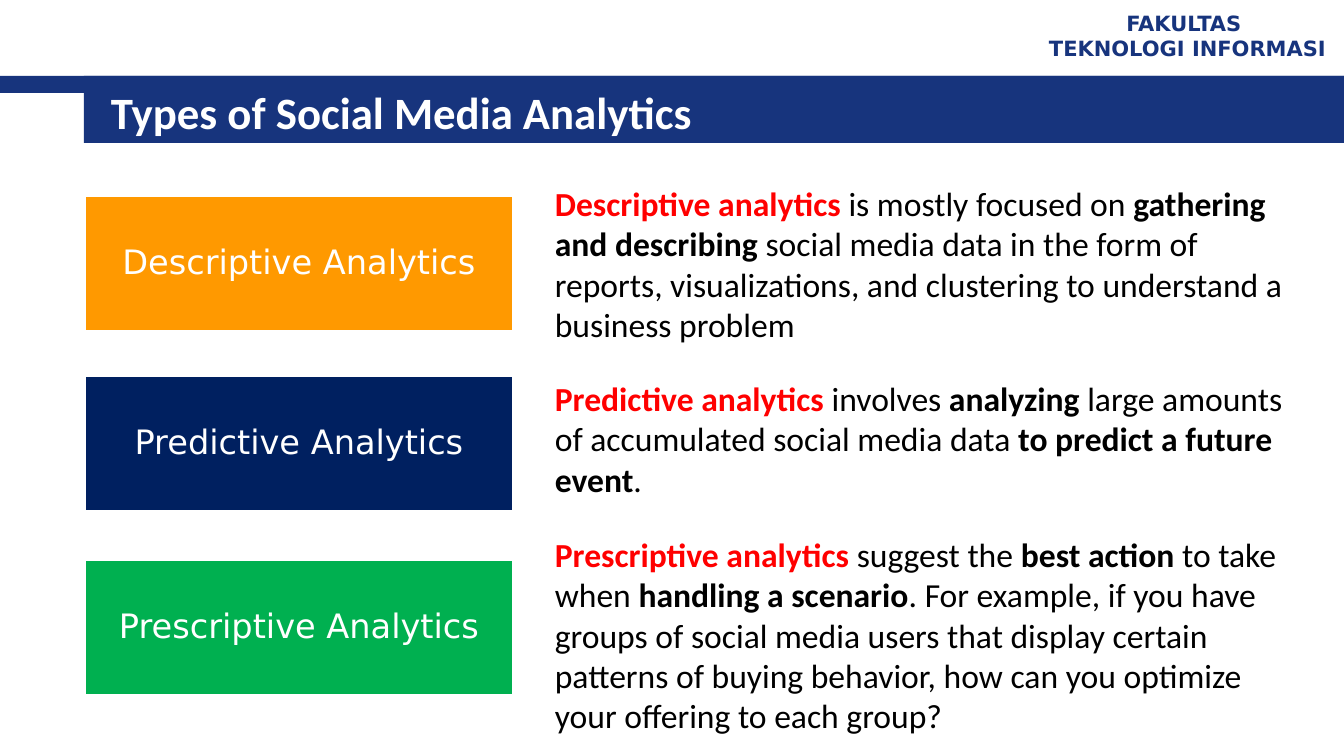
import pptx
import pptx.dml.color
import pptx.enum.shapes
import pptx.enum.text
import pptx.util

EMU_PER_PX = 914400 / 100.8
NAVY = "17347D"
WHITE = "FFFFFF"
BLACK = "000000"
RED = "FF0000"
HEADING_FONT = "DejaVu Sans"
BODY_FONT = "Calibri"
MIDDLE = pptx.enum.text.MSO_ANCHOR.MIDDLE
TOP = pptx.enum.text.MSO_ANCHOR.TOP
CENTER = pptx.enum.text.PP_ALIGN.CENTER

ANALYTICS = [
    ("Descriptive Analytics", "FF9900", 196, (545, 178, 754, 173), [
        "Descriptive analytics ", "is mostly focused on ", "gathering and describing ",
        "social media data in the form of reports, visualizations, "
        "and clustering to understand a business problem"]),
    ("Predictive Analytics", "002060", 376, (545, 373, 754, 132), [
        "Predictive analytics ", "involves ", "analyzing",
        " large amounts of accumulated social media data ",
        "to predict a future event", "."]),
    ("Prescriptive Analytics", "00B050", 560, (545, 529, 754, 214), [
        "Prescriptive analytics ", "suggest the ", "best action ", "to take when ",
        "handling a scenario",
        ". For example, if you have groups of social media users that display certain "
        "patterns of buying behavior, how can you optimize your offering to each group?"]),
]


def px(length):
    """Turn a length in px into EMU."""
    return pptx.util.Emu(round(length * EMU_PER_PX))


def color(value):
    """Turn a hex string into a colour."""
    return pptx.dml.color.RGBColor.from_string(value)


def style(run, font, size, fill, bold=False):
    """Give a run its font, size, colour and weight."""
    run.font.name = font
    run.font.size = pptx.util.Pt(size)
    run.font.color.rgb = color(fill)
    run.font.bold = bold


def add_rectangle(slide, area, fill):
    """Add a filled rectangle without outline or shadow."""
    rectangle = slide.shapes.add_shape(
        pptx.enum.shapes.MSO_SHAPE.RECTANGLE, *map(px, area))
    rectangle.shadow.inherit = False
    rectangle.fill.solid()
    rectangle.fill.fore_color.rgb = color(fill)
    rectangle.line.fill.background()
    return rectangle


def add_frame(slide, area, anchor):
    """Add a wrapping text box and return its text frame."""
    frame = slide.shapes.add_textbox(*map(px, area)).text_frame
    frame.word_wrap = True
    frame.vertical_anchor = anchor
    return frame


def add_heading(slide, area, text, font, size, fill, align=None):
    """Add bold text, one paragraph for each line."""
    frame = add_frame(slide, area, MIDDLE)
    frame.text = text
    for paragraph in frame.paragraphs:
        paragraph.alignment = align
        style(paragraph.runs[0], font, size, fill, True)


def add_type_box(slide, label, fill, top):
    """Add the coloured box that names one type of analytics."""
    box = add_rectangle(slide, (85, top, 428, 135), fill)
    box.line.color.rgb = color(WHITE)
    box.line.width = pptx.util.Pt(2)
    frame = box.text_frame
    frame.word_wrap = True
    frame.vertical_anchor = MIDDLE
    frame.text = label
    name = frame.paragraphs[0]
    name.alignment = CENTER
    name.line_spacing = 0.9
    style(name.runs[0], HEADING_FONT, 24, WHITE)


def add_description(slide, area, parts):
    """Add a description with a red term and every other part bold."""
    paragraph = add_frame(slide, area, TOP).paragraphs[0]
    for index, part in enumerate(parts):
        run = paragraph.add_run()
        run.text = part
        style(run, BODY_FONT, 24, BLACK if index else RED, index % 2 == 0)


def main():
    """Build the slide and save it."""
    deck = pptx.Presentation()
    deck.slide_width = px(1344)
    deck.slide_height = px(756)
    slide = deck.slides.add_slide(deck.slide_layouts[6])
    add_rectangle(slide, (0, 76, 1344, 17), NAVY)
    add_rectangle(slide, (84, 76, 1260, 67), NAVY)
    add_heading(slide, (1031, 5, 313, 62), "FAKULTAS \nTEKNOLOGI INFORMASI",
                HEADING_FONT, 15, NAVY, CENTER)
    add_heading(slide, (101, 81, 1199, 62), "Types of Social Media Analytics",
                BODY_FONT, 32, WHITE)
    for label, fill, top, area, parts in ANALYTICS:
        add_type_box(slide, label, fill, top)
        add_description(slide, area, parts)
    deck.save("out.pptx")


if __name__ == "__main__":
    main()
